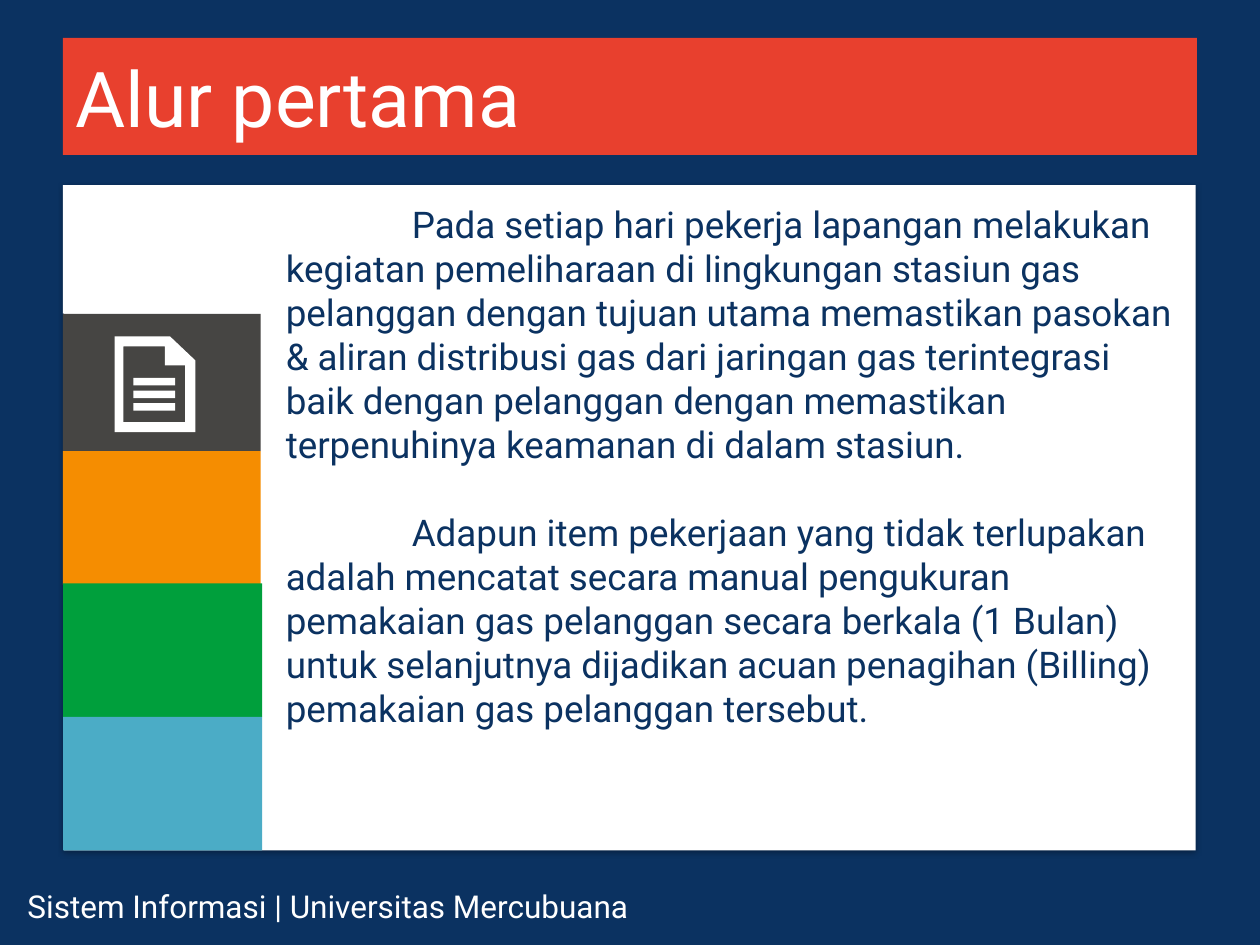
import pptx
import pptx.dml.color
import pptx.enum.shapes
import pptx.enum.text
import pptx.oxml
import pptx.oxml.ns
import pptx.util
from pptx.util import Inches

NAVY = "0B3261"
WHITE = "FFFFFF"
FONT = "Roboto"


def paint(color_format, color):
    """Give a fill or a font the solid colour of a hex string."""
    if hasattr(color_format, "solid"):
        color_format.solid()
        color_format = color_format.fore_color
    color_format.rgb = pptx.dml.color.RGBColor.from_string(color)


def add_block(left, top, width, height, color):
    block = slide.shapes.add_shape(
        pptx.enum.shapes.MSO_SHAPE.RECTANGLE,
        Inches(left), Inches(top), Inches(width), Inches(height))
    block.shadow.inherit = False
    paint(block.fill, color)
    block.line.fill.background()
    return block


deck = pptx.Presentation()
deck.slide_width = Inches(10)
deck.slide_height = Inches(7.5)
slide = deck.slides.add_slide(deck.slide_layouts[6])
paint(slide.background.fill, NAVY)

# Footer
footer = slide.shapes.add_textbox(Inches(0.12), Inches(6.99), Inches(8.5), Inches(0.34))
footer.text_frame.word_wrap = True
footer.text_frame.text = "Sistem Informasi | Universitas Mercubuana"

# White card with a soft shadow
card = add_block(0.51, 1.47, 8.98, 5.28, WHITE)
effects = card._element.spPr.find(pptx.oxml.ns.qn("a:effectLst"))
effects.append(pptx.oxml.parse_xml(
    f'<a:outerShdw {pptx.oxml.ns.nsdecls("a")} blurRad="{pptx.util.Pt(3.1)}" '
    f'dist="{pptx.util.Pt(1.8)}" dir="5400000" rotWithShape="0">'
    '<a:srgbClr val="000000"><a:alpha val="35000"/></a:srgbClr></a:outerShdw>'))

# Title bar
title = add_block(0.5, 0.3, 9, 0.93, "E8402E")
title.text_frame.text = "Alur pertama"
title.text_frame.vertical_anchor = pptx.enum.text.MSO_ANCHOR.MIDDLE

# Colour column
for top, width, height, color in (
    (1.47, 1.57, 1.02, WHITE),
    (2.49, 1.57, 1.09, "464543"),
    (3.58, 1.57, 1.06, "F58D01"),
    (4.63, 1.58, 1.06, "009F3C"),
    (5.69, 1.58, 1.06, "4BACC6"),
):
    add_block(0.5, top, width, height, color)

# Document icon, in hundredths of an inch: page edge, page hole, three text lines
contours = [
    [(135, 267), (91, 267), (91, 343), (155, 343), (155, 286)],
    [(131, 275), (131, 290), (147, 290), (147, 335), (98, 335), (98, 275)],
]
for top in (300, 310, 320):
    contours.append([(139, top + 6), (106, top + 6), (106, top), (139, top)])
builder = slide.shapes.build_freeform(*contours[0][0], scale=Inches(0.01))
builder.add_line_segments(contours[0][1:], close=True)
for contour in contours[1:]:
    builder.move_to(*contour[0])
    builder.add_line_segments(contour[1:], close=True)
icon = builder.convert_to_shape()
icon.shadow.inherit = False
paint(icon.fill, WHITE)
icon.line.fill.background()

# Body text
body = slide.shapes.add_textbox(Inches(2.17), Inches(1.55), Inches(7.24), Inches(4.34))
body.text_frame.word_wrap = True
body.text_frame.text = "\n".join((
    "Pada setiap hari pekerja lapangan melakukan kegiatan pemeliharaan di lingkungan "
    "stasiun gas pelanggan dengan tujuan utama memastikan pasokan & aliran distribusi "
    "gas dari jaringan gas terintegrasi baik dengan pelanggan dengan memastikan "
    "terpenuhinya keamanan di dalam stasiun.",
    "Adapun item pekerjaan yang tidak terlupakan adalah mencatat secara manual "
    "pengukuran pemakaian gas pelanggan secara berkala (1 Bulan) untuk selanjutnya "
    "dijadikan acuan penagihan (Billing) pemakaian gas pelanggan tersebut.",
))
for para in body.text_frame.paragraphs:
    para._p.get_or_add_pPr().set("indent", str(Inches(1)))
body.text_frame.paragraphs[1].space_before = pptx.util.Pt(25)

for box, size, color in ((footer, 18, WHITE), (title, 44, WHITE), (body, 21, NAVY)):
    for para in box.text_frame.paragraphs:
        para.alignment = pptx.enum.text.PP_ALIGN.LEFT
        for span in para.runs:
            span.font.name = FONT
            span.font.size = pptx.util.Pt(size)
            paint(span.font.color, color)

deck.save("out.pptx")
